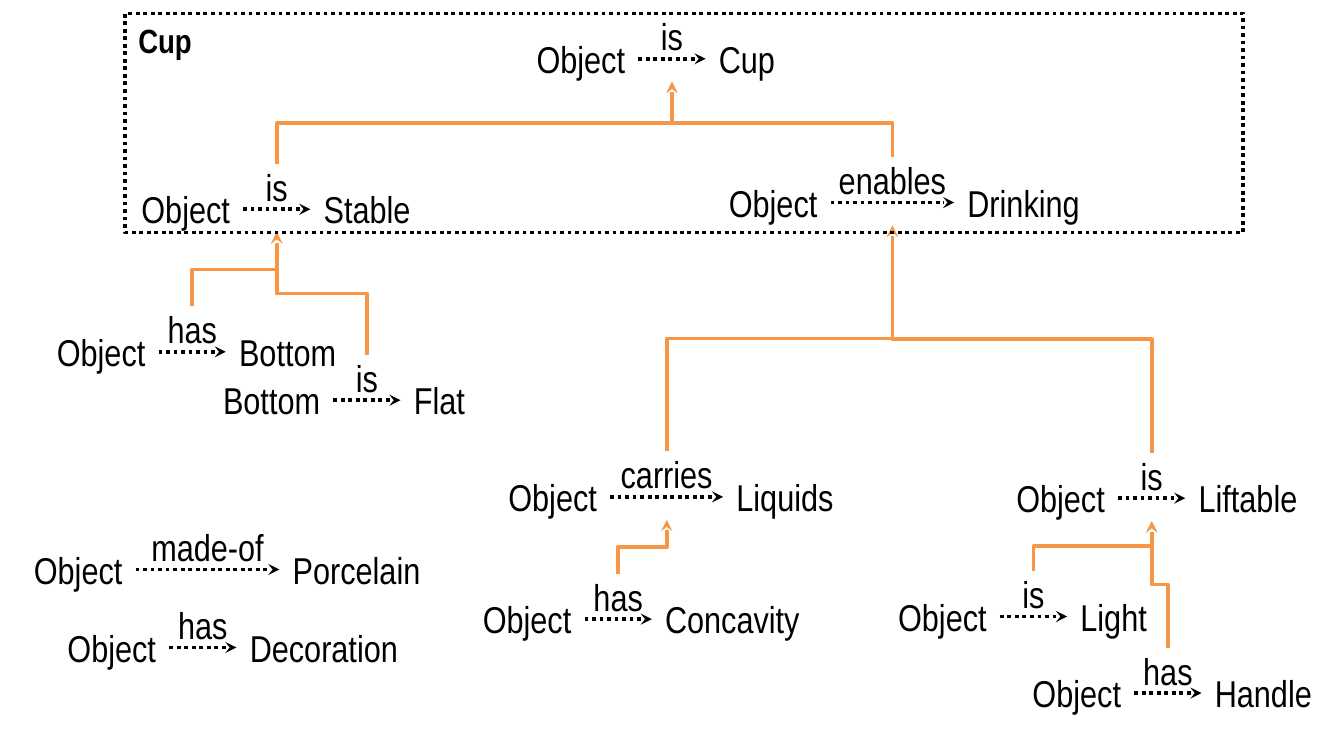
from pptx import Presentation
from pptx.dml.color import RGBColor
from pptx.enum.dml import MSO_LINE
from pptx.enum.shapes import MSO_CONNECTOR, MSO_SHAPE
from pptx.enum.text import MSO_ANCHOR, PP_ALIGN
from pptx.oxml.ns import qn
from pptx.util import Pt

DOTTED = MSO_LINE.ROUND_DOT
STRAIGHT, ELBOW = MSO_CONNECTOR.STRAIGHT, MSO_CONNECTOR.ELBOW
LEFT, CENTER, RIGHT = PP_ALIGN.LEFT, PP_ALIGN.CENTER, PP_ALIGN.RIGHT
TOP = MSO_ANCHOR.TOP
BLACK, ORANGE = "000000", "F79646"

# subject, verb, object, arrow left, verb top, arrow length, object width
RELATIONS = [
    ("Object", "is", "Cup", 342, 7.2, 36, 48.2),
    ("Object", "is", "Stable", 130.3, 87.8, 36, 81.4),
    ("Object", "enables", "Drinking", 445, 84.2, 66.2, 90.7),
    ("Object", "has", "Bottom", 85, 164.2, 36, 81.4),
    ("Bottom", "is", "Flat", 178.6, 190.1, 36, 51.1),
    ("Object", "carries", "Liquids", 326.9, 241.9, 60.5, 75.6),
    ("Object", "is", "Liftable", 599, 242.6, 36, 78.5),
    ("Object", "has", "Concavity", 313.2, 307.4, 36, 103),
    ("Object", "is", "Light", 535.7, 306, 36, 78.5),
    ("Object", "has", "Handle", 607.7, 347, 36, 75.6),
    ("Object", "made-of", "Porcelain", 72.7, 280.8, 77, 90.7),
    ("Object", "has", "Decoration", 90.7, 322.6, 36, 107.3),
]
# supporting relation, supported relation, bend position
SUPPORTS = [
    ("Stable", "Cup", 0.5),
    ("Drinking", "Cup", 0.45),
    ("Bottom", "Stable", 0.5),
    ("Flat", "Stable", 0.5),
    ("Liquids", "Drinking", 0.5),
    ("Liftable", "Drinking", 0.5),
    ("Concavity", "Liquids", 0.5),
    ("Light", "Liftable", 0.5),
    ("Handle", "Liftable", 0.5),
]
FRAME_TITLE = "Cup"
FRAME = (67, 7.2, 599, 117.4)
SUBJECT_WIDTHS = {"Object": 75.6, "Bottom": 82.8}
WORD_HEIGHT, VERB_HEIGHT = 31.5, 36.7
WORD_DROP, ARROW_DROP = 8.6, 24.3


def rgb(code):
    return RGBColor.from_string(code)


def write(frame, text, size=20, bold=False, align=LEFT, inset=True):
    frame.word_wrap = True
    frame.vertical_anchor = TOP
    if not inset:
        frame.margin_left = frame.margin_right = 0
        frame.margin_top = frame.margin_bottom = 0
    paragraph = frame.paragraphs[0]
    paragraph.alignment = align
    run = paragraph.add_run()
    run.text = text
    run.font.name = "Arial Narrow"
    run.font.size = Pt(size)
    run.font.bold = bold
    run.font.color.rgb = rgb(BLACK)


def add_word(text, left, top, width, height, **style):
    box = slide.shapes.add_textbox(Pt(left), Pt(top), Pt(width), Pt(height))
    write(box.text_frame, text, **style)


def set_line(line, color, dash=None):
    line.color.rgb = rgb(color)
    line.width = Pt(2)
    if dash:
        line.dash_style = dash


def add_arrow(kind, x1, y1, x2, y2, color, dash=None):
    arrow = slide.shapes.add_connector(kind, Pt(x1), Pt(y1), Pt(x2), Pt(y2))
    set_line(arrow.line, color, dash)
    properties = arrow._element.spPr
    head = properties.find(qn("a:ln")).makeelement(qn("a:tailEnd"), {"type": "stealth"})
    properties.find(qn("a:ln")).append(head)
    properties.append(properties.makeelement(qn("a:effectLst"), {}))
    return properties


def add_support(x1, y1, x2, y2, bend):
    middle_x, middle_y = (x1 + x2) / 2, (y1 + y2) / 2
    half_rise, half_run = (y1 - y2) / 2, abs(x1 - x2) / 2
    side = 1 if x1 < x2 else -1
    properties = add_arrow(ELBOW, middle_x + side * half_rise, middle_y + half_run,
                           middle_x - side * half_rise, middle_y - half_run, ORANGE)
    turn = 90 if side == 1 else 270
    properties.find(qn("a:xfrm")).set("rot", str(turn * 60000))
    geometry = properties.find(qn("a:prstGeom"))
    guides = geometry.find(qn("a:avLst"))
    guides.append(guides.makeelement(
        qn("a:gd"), {"name": "adj1", "fmla": f"val {round(bend * 100000)}"}))


presentation = Presentation()
presentation.slide_width, presentation.slide_height = Pt(720), Pt(405)
slide = presentation.slides.add_slide(presentation.slide_layouts[6])

anchors = {}
for subject, verb, target, left, top, length, target_width in RELATIONS:
    right, word_top, arrow_y = left + length, top + WORD_DROP, top + ARROW_DROP
    subject_width = min(SUBJECT_WIDTHS[subject], left)
    add_word(subject, left - subject_width, word_top, subject_width, WORD_HEIGHT, align=RIGHT)
    add_word(target, right, word_top, target_width, WORD_HEIGHT)
    add_arrow(STRAIGHT, left, arrow_y, right, arrow_y, BLACK, DOTTED)
    add_word(verb, left, top, length, VERB_HEIGHT, align=CENTER, inset=False)
    anchors[target] = (left + length / 2, top)

for support, supported, bend in SUPPORTS:
    start_x, start_y = anchors[support]
    end_x, end_top = anchors[supported]
    add_support(start_x, start_y, end_x, end_top + VERB_HEIGHT, bend)

frame = slide.shapes.add_shape(MSO_SHAPE.RECTANGLE, *map(Pt, FRAME))
frame.shadow.inherit = False
frame.fill.background()
set_line(frame.line, BLACK, DOTTED)
write(frame.text_frame, FRAME_TITLE, size=18, bold=True)

presentation.save("out.pptx")
